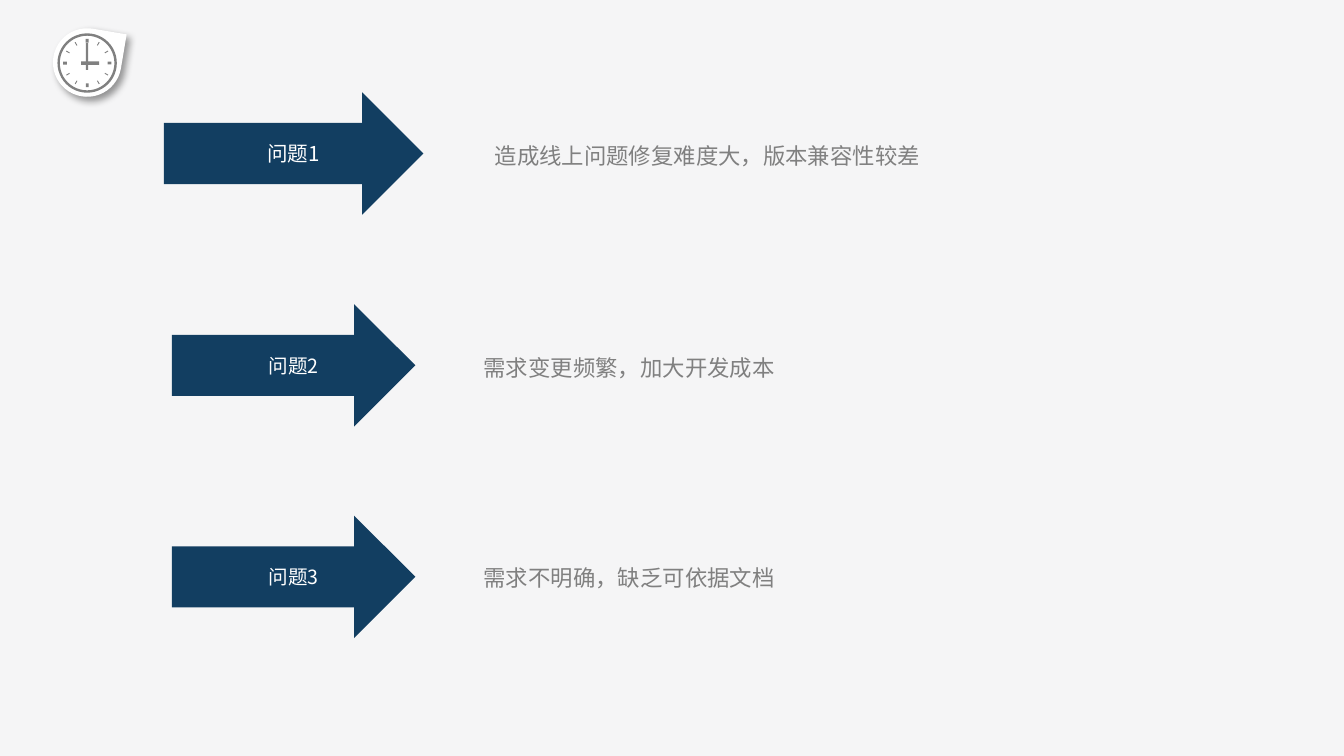
from math import cos, radians, sin

from lxml.etree import SubElement
from pptx import Presentation
from pptx.dml.color import RGBColor
from pptx.enum.shapes import MSO_SHAPE as Shape
from pptx.enum.text import MSO_ANCHOR as Anchor, MSO_AUTO_SIZE as AutoSize, PP_ALIGN as Align
from pptx.oxml.ns import qn
from pptx.util import Pt

PROBLEMS = [
    {"label": "问题1", "label_size": 11, "arrow_width": 139, "arrow_top": 49.5,
     "detail": "造成线上问题修复难度大，版本兼容性较差",
     "detail_left": 246.2, "detail_top": 69.8, "align": Align.CENTER},
    {"label": "问题2", "label_size": 10.5, "arrow_width": 130.5, "arrow_top": 163,
     "detail": "需求变更频繁，加大开发成本",
     "detail_left": 252, "detail_top": 183.4, "align": Align.LEFT},
    {"label": "问题3", "label_size": 10.5, "arrow_width": 130.5, "arrow_top": 276.3,
     "detail": "需求不明确，缺乏可依据文档",
     "detail_left": 252, "detail_top": 296, "align": Align.LEFT},
]

THEME = {
    "background": "F5F5F6", "arrow": "123E61", "label": "FFFFFF",
    "badge": "FFFFFF", "gray": "808080", "shadow": "000000",
    "font": "Noto Sans CJK SC", "detail_size": 12,
}

ARROW_CENTER, ARROW_HEIGHT = 157.3, 65.5
DETAIL_WIDTH, DETAIL_HEIGHT = 265.7, 24.5
CLOCK_X, CLOCK_Y = 46.7, 33.8
BADGE_SIZE, DIAL_SIZE, TICK_RADIUS = 36.7, 31.8, 11.9


def color(name):
    return RGBColor.from_string(THEME[name])


def add_filled(shapes, kind, left, top, width, height, fill):
    shape = shapes.add_shape(kind, Pt(left), Pt(top), Pt(width), Pt(height))
    shape.shadow.inherit = False
    shape.fill.solid()
    shape.fill.fore_color.rgb = color(fill)
    shape.line.fill.background()
    return shape


def add_centered(shapes, kind, x, y, width, height, fill, rotation=0):
    shape = add_filled(shapes, kind, x - width / 2, y - height / 2, width, height, fill)
    shape.rotation = rotation
    return shape


def write(shape, text, size, fill, align):
    paragraph = shape.text_frame.paragraphs[0]
    paragraph.text = text
    paragraph.alignment = align
    font = paragraph.runs[0].font
    font.size = Pt(size)
    font.name = THEME["font"]
    font.color.rgb = color(fill)
    SubElement(font._element, qn("a:ea"), typeface=THEME["font"])
    return paragraph


def add_drop_shadow(shape):
    effects = shape._element.spPr.find(qn("a:effectLst"))
    shadow = SubElement(effects, qn("a:outerShdw"), blurRad=str(Pt(4)), dist=str(Pt(3)),
                        dir="2700000", algn="tl", rotWithShape="0")
    shade = SubElement(shadow, qn("a:srgbClr"), val=THEME["shadow"])
    SubElement(shade, qn("a:alpha"), val="40000")


def add_clock(slide):
    shapes = slide.shapes.add_group_shape().shapes
    badge = add_centered(shapes, Shape.TEAR, CLOCK_X, CLOCK_Y - 0.3,
                         BADGE_SIZE, BADGE_SIZE, "badge", 9.5)
    add_drop_shadow(badge)
    dial = add_centered(shapes, Shape.DONUT, CLOCK_X, CLOCK_Y, DIAL_SIZE, DIAL_SIZE, "gray")
    dial.adjustments[0] = 0.04
    for angle in range(0, 360, 30):
        x = CLOCK_X + TICK_RADIUS * sin(radians(angle))
        y = CLOCK_Y - TICK_RADIUS * cos(radians(angle))
        width = 0.5 if angle % 90 else 1.6
        add_centered(shapes, Shape.RECTANGLE, x, y, width, 2, "gray", angle)
    add_centered(shapes, Shape.RECTANGLE, CLOCK_X, CLOCK_Y - 3.5, 1.2, 14.4, "gray")
    add_centered(shapes, Shape.RECTANGLE, CLOCK_X + 1.6, CLOCK_Y, 1.9, 9.6, "gray", 90)


def add_problem(slide, problem):
    width = problem["arrow_width"]
    arrow = add_filled(slide.shapes, Shape.RIGHT_ARROW, ARROW_CENTER - width / 2,
                       problem["arrow_top"], width, ARROW_HEIGHT, "arrow")
    frame = arrow.text_frame
    frame.margin_left, frame.margin_right = Pt(31.7), Pt(15.1)
    frame.margin_top = frame.margin_bottom = 0
    frame.vertical_anchor = Anchor.MIDDLE
    write(arrow, problem["label"], problem["label_size"], "label", Align.CENTER)

    detail = slide.shapes.add_textbox(Pt(problem["detail_left"]), Pt(problem["detail_top"]),
                                      Pt(DETAIL_WIDTH), Pt(DETAIL_HEIGHT))
    detail.text_frame.word_wrap = True
    detail.text_frame.auto_size = AutoSize.SHAPE_TO_FIT_TEXT
    paragraph = write(detail, problem["detail"], THEME["detail_size"], "gray", problem["align"])
    paragraph.line_spacing = 1.2


def main():
    presentation = Presentation()
    presentation.slide_width, presentation.slide_height = Pt(720), Pt(405)
    slide = presentation.slides.add_slide(presentation.slide_layouts[6])
    slide.background.fill.solid()
    slide.background.fill.fore_color.rgb = color("background")
    add_clock(slide)
    for problem in PROBLEMS:
        add_problem(slide, problem)
    presentation.save("out.pptx")


if __name__ == "__main__":
    main()
